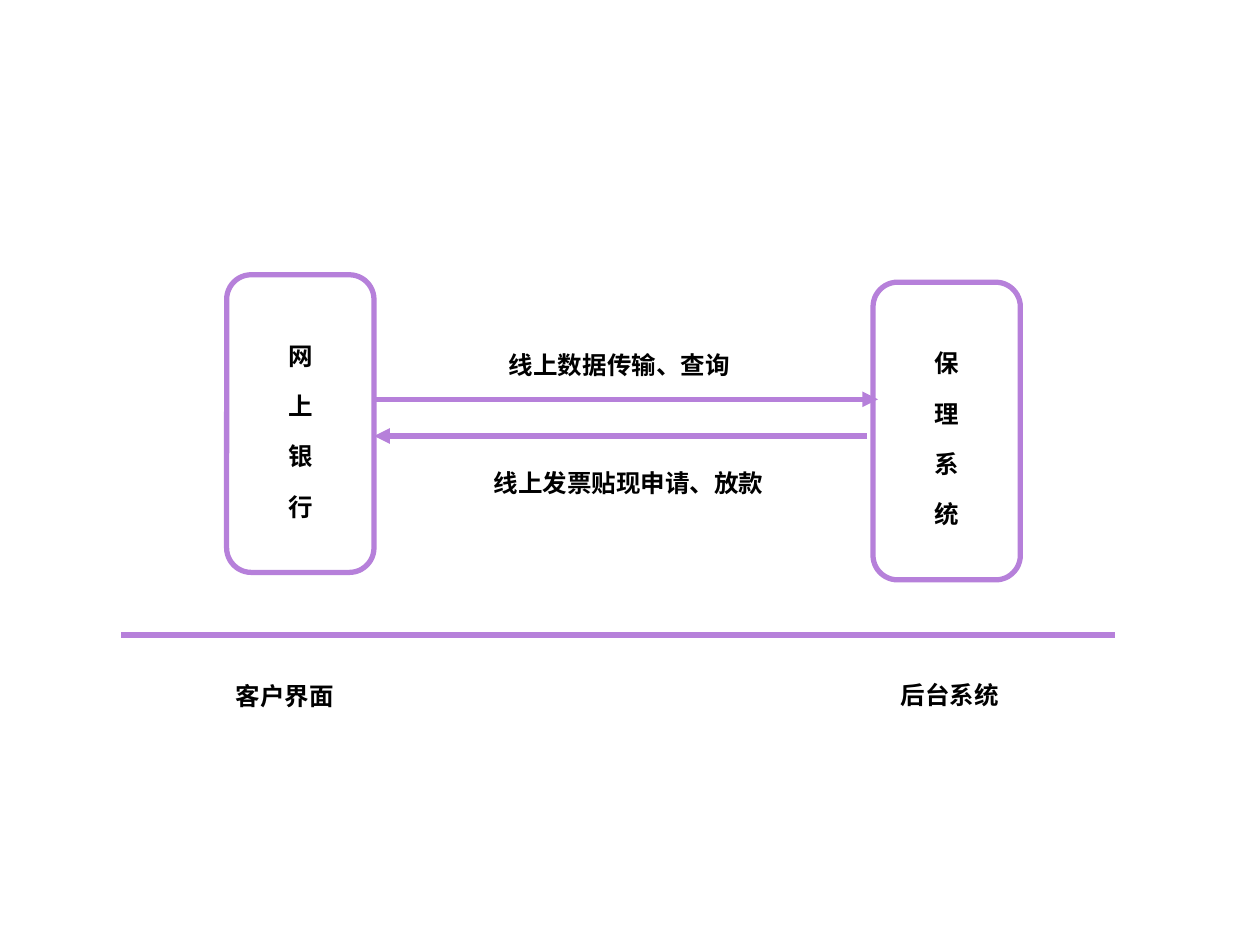
from dataclasses import dataclass
from typing import Any

import lxml.etree
import pptx
import pptx.dml.color
import pptx.enum.shapes
import pptx.enum.text
import pptx.oxml.ns
import pptx.util

Cm = pptx.util.Cm


@dataclass(frozen=True)
class Theme:
    accent: pptx.dml.color.RGBColor = pptx.dml.color.RGBColor(0xB6, 0x80, 0xDA)
    ink: pptx.dml.color.RGBColor = pptx.dml.color.RGBColor(0, 0, 0)
    font: str = "Arial"
    text_size: pptx.util.Pt = pptx.util.Pt(14)
    line_width: pptx.util.Pt = pptx.util.Pt(3)
    line_spacing: float = 1.5
    system_gap: pptx.util.Pt = pptx.util.Pt(3.5)
    corner: float = 0.167


THEME = Theme()


@dataclass(frozen=True)
class System:
    """A rounded box whose name runs downwards; lengths in cm."""
    name: str
    left: float
    top: float
    width: float = 2.97
    height: float = 6.0


@dataclass(frozen=True)
class Label:
    text: str
    left: float
    top: float
    width: float
    height: float = 1.14


@dataclass(frozen=True)
class Line:
    """A horizontal line, drawn from start to end; lengths in cm."""
    start: float
    end: float
    y: float
    arrow: bool = True


DIVIDER = Line(2.44, 22.48, 12.8, arrow=False)
SYSTEMS = [System("网上银行", 4.57, 5.54), System("保理系统", 17.6, 5.69)]
FLOWS = [Line(7.54, 17.7, 8.05), Line(17.48, 7.54, 8.79)]
LABELS = [
    Label("客户界面", 4.5, 13.31, 2.82),
    Label("后台系统", 17.91, 13.28, 3.0),
    Label("线上数据传输、查询", 10.01, 6.63, 6.35),
    Label("线上发票贴现申请、放款", 9.7, 9.02, 6.35),
]


def style_line(line: Any) -> None:
    line.color.rgb = THEME.accent
    line.width = THEME.line_width


def write(paragraph: Any, text: str) -> None:
    paragraph.line_spacing = THEME.line_spacing
    run = paragraph.add_run()
    run.text = text
    run.font.name = THEME.font
    run.font.size = THEME.text_size
    run.font.bold = True
    run.font.color.rgb = THEME.ink


def draw_line(slide: Any, line: Line) -> None:
    connector = slide.shapes.add_connector(
        pptx.enum.shapes.MSO_CONNECTOR.STRAIGHT,
        Cm(line.start), Cm(line.y), Cm(line.end), Cm(line.y))
    style_line(connector.line)
    qn = pptx.oxml.ns.qn
    if line.arrow:
        outline = connector.line._get_or_add_ln()
        lxml.etree.SubElement(outline, qn("a:tailEnd"), type="triangle")
    lxml.etree.SubElement(connector._element.spPr, qn("a:effectLst"))


def draw_system(slide: Any, system: System) -> None:
    box = slide.shapes.add_shape(
        pptx.enum.shapes.MSO_SHAPE.ROUNDED_RECTANGLE,
        Cm(system.left), Cm(system.top), Cm(system.width), Cm(system.height))
    box.adjustments[0] = THEME.corner
    box.shadow.inherit = False
    box.fill.background()
    style_line(box.line)
    frame = box.text_frame
    frame.word_wrap = False
    frame.vertical_anchor = pptx.enum.text.MSO_ANCHOR.MIDDLE
    for index, character in enumerate(system.name):
        paragraph = frame.add_paragraph() if index else frame.paragraphs[0]
        paragraph.alignment = pptx.enum.text.PP_ALIGN.CENTER
        if index:
            paragraph.space_before = THEME.system_gap
        write(paragraph, character)


def draw_label(slide: Any, label: Label) -> None:
    box = slide.shapes.add_textbox(
        Cm(label.left), Cm(label.top), Cm(label.width), Cm(label.height))
    frame = box.text_frame
    frame.word_wrap = True
    frame.auto_size = pptx.enum.text.MSO_AUTO_SIZE.SHAPE_TO_FIT_TEXT
    write(frame.paragraphs[0], label.text)


def main() -> None:
    deck = pptx.Presentation()
    deck.slide_width, deck.slide_height = Cm(25.4), Cm(19.05)
    slide = deck.slides.add_slide(deck.slide_layouts[6])
    draw_line(slide, DIVIDER)
    for system in SYSTEMS:
        draw_system(slide, system)
    for flow in FLOWS:
        draw_line(slide, flow)
    for label in LABELS:
        draw_label(slide, label)
    deck.save("out.pptx")


if __name__ == "__main__":
    main()
